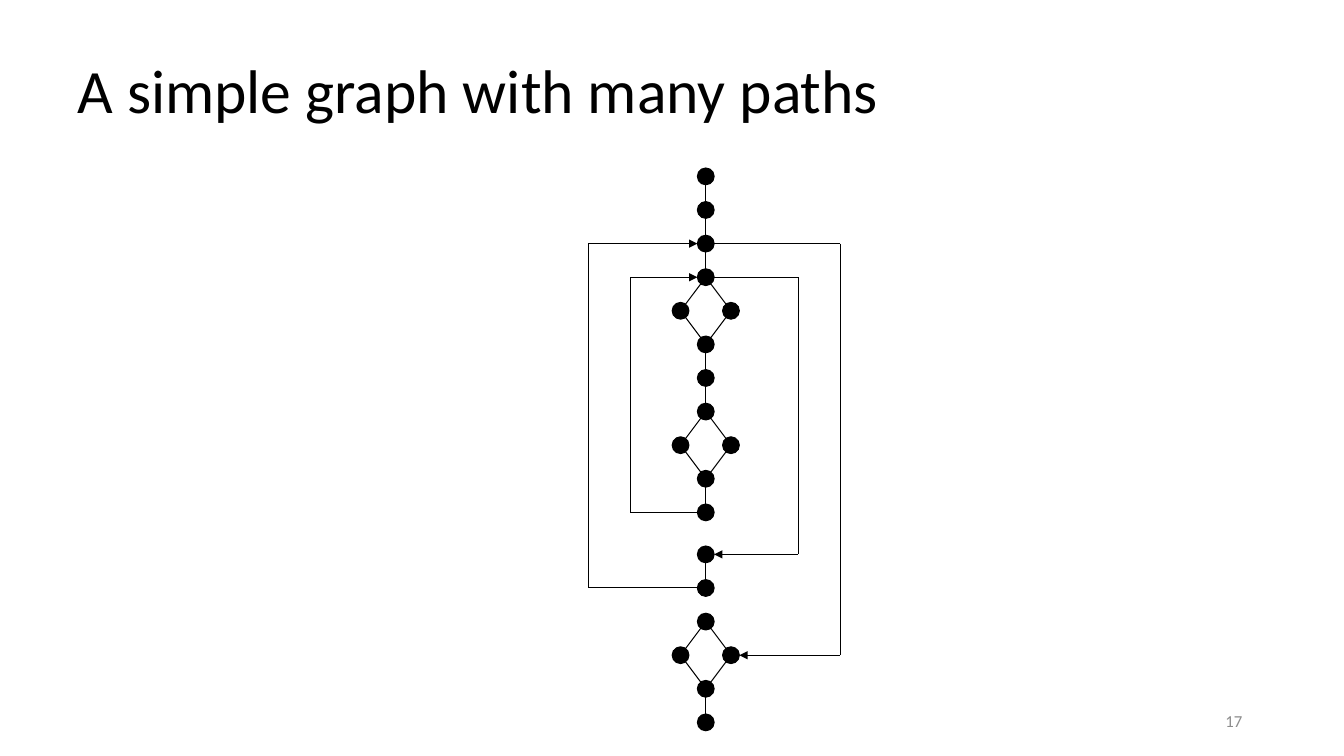
from lxml import etree
from pptx import Presentation
from pptx.dml.color import RGBColor
from pptx.enum.shapes import MSO_CONNECTOR, MSO_SHAPE
from pptx.enum.text import MSO_ANCHOR, PP_ALIGN
from pptx.oxml.ns import qn
from pptx.util import Inches, Pt

LEFT, RIGHT = PP_ALIGN.LEFT, PP_ALIGN.RIGHT
MIDDLE = MSO_ANCHOR.MIDDLE
OVAL, LINE = MSO_SHAPE.OVAL, MSO_CONNECTOR.STRAIGHT
INK = {name: RGBColor.from_string(code)
       for name, code in {"black": "000000", "grey": "8C8C8C"}.items()}

deck = Presentation()
deck.slide_width, deck.slide_height = Inches(13.33), Inches(7.5)
slide = deck.slides.add_slide(deck.slide_layouts[5])
shapes = slide.shapes

# The graph sits on a grid of twelve cells to the inch
CELL = Inches(1) / 12
MID, SIDE, STEP = 84, 3, 4


def write(box, place, text, size, color, align):
    box.left, box.top, box.width, box.height = map(Inches, place)
    frame = box.text_frame
    frame.word_wrap = True
    frame.vertical_anchor = MIDDLE
    frame.text = text
    para = frame.paragraphs[0]
    para.alignment = align
    para.font.name, para.font.size = "Calibri", Pt(size)
    para.font.color.rgb = INK[color]
    return para


def link(start, end, arrow=False):
    ends = [round(n * CELL) for n in (*start, *end)]
    line = shapes.add_connector(LINE, *ends)
    line.line.color.rgb = INK["black"]
    line.line.width = Pt(0.75)
    if arrow:
        tip = etree.SubElement(line.line._get_or_add_ln(), qn("a:tailEnd"))
        tip.set("type", "triangle")
    etree.SubElement(line._element.spPr, qn("a:effectLst"))


# Title and slide number
title = write(shapes.title, (0.67, 0.3, 12, 1.25),
              "A simple graph with many paths", 44, "black", LEFT)
title.line_spacing = 0.9
write(shapes.add_textbox(0, 0, 0, 0), (9.42, 6.95, 3, 0.4),
      "17", 12, "grey", RIGHT)

# Straight runs down the middle: first and last row
for top, end in [(21, 33), (41, 49), (57, 61), (66, 70), (82, 86)]:
    link((MID, top), (MID, end))

# Diamonds, each named by its top row
diamonds = [33, 49, 74]
for top in diamonds:
    for x in (MID - SIDE, MID + SIDE):
        link((MID, top), (x, top + STEP))
        link((x, top + STEP), (MID, top + 2 * STEP))

# Loops: start, lane column, end
loops = [
    ((MID, 61), 75, (MID - 1, 33)),
    ((MID, 70), 70, (MID - 1, 29)),
    ((MID, 33), 95, (MID + 1, 66)),
    ((MID, 29), 100, (MID + SIDE + 1, 78)),
]
for start, lane, end in loops:
    link(start, (lane, start[1]))
    link((lane, start[1]), (lane, end[1]))
    link((lane, end[1]), end, arrow=True)

# Nodes
rows = [*range(21, 34, STEP), *range(41, 50, STEP), 57, 61, 66, 70, 74, 82, 86]
nodes = [(MID, row) for row in rows]
nodes += [(x, top + STEP) for top in diamonds for x in (MID - SIDE, MID + SIDE)]
for x, y in nodes:
    dot = shapes.add_shape(OVAL, round((x - 1) * CELL), round((y - 1) * CELL),
                           round(2 * CELL), round(2 * CELL))
    dot.shadow.inherit = False
    dot.fill.solid()
    dot.fill.fore_color.rgb = dot.line.color.rgb = INK["black"]
    dot.line.width = Pt(0.75)

deck.save("out.pptx")
